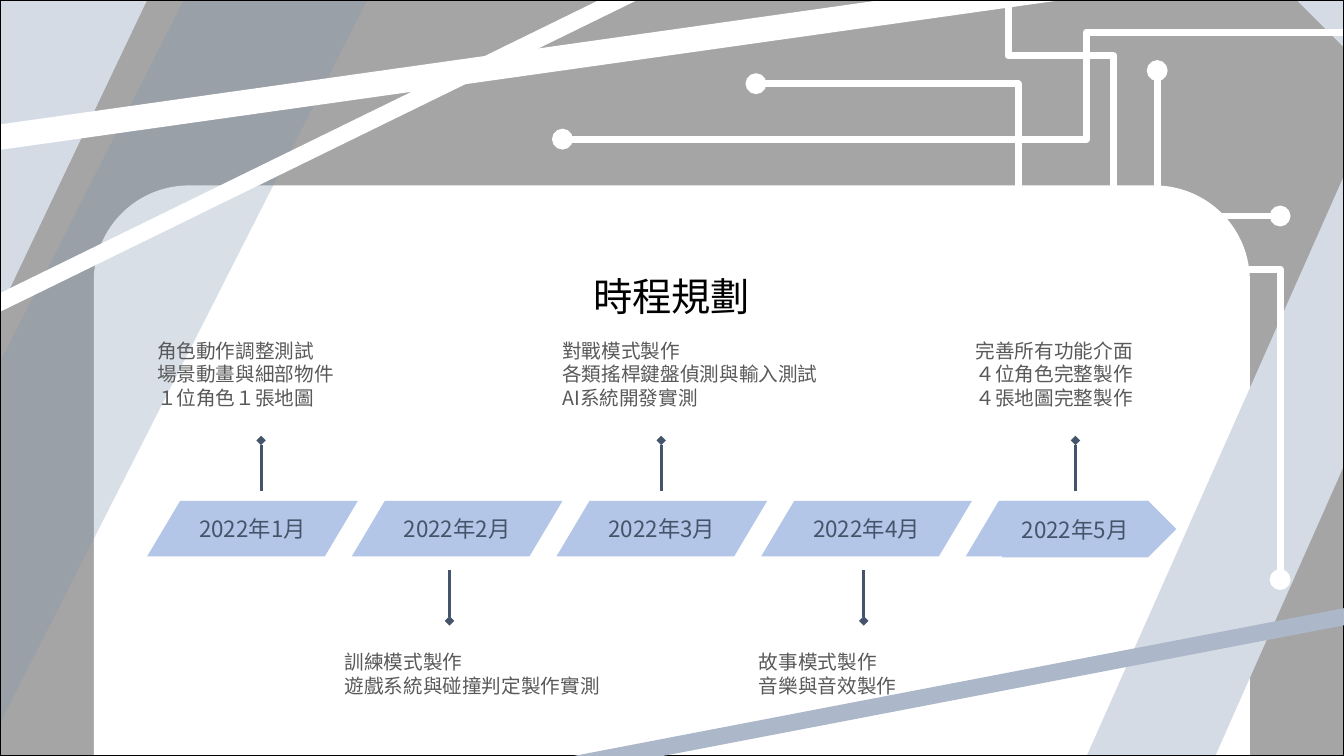
"""Build the project schedule slide: a five-month timeline on a circuit-style backdrop."""
from dataclasses import dataclass

from lxml.etree import SubElement
from pptx import Presentation
from pptx.dml.color import RGBColor
from pptx.enum.shapes import MSO_CONNECTOR as Link, MSO_SHAPE as Preset
from pptx.enum.text import MSO_ANCHOR as Anchor, PP_ALIGN as Align
from pptx.oxml.ns import qn
from pptx.util import Pt


@dataclass(frozen=True)
class Theme:
    white: str = "FFFFFF"
    black: str = "000000"
    pale: str = "D5DBE5"
    gray: str = "A5A5A5"
    haze: str = "8296B0"
    steel: str = "ACB8CA"
    month: str = "B3C6E7"
    navy: str = "44546A"
    note: str = "595959"
    title_font: str = "Calibri"
    body_font: str = "Noto Sans CJK TC"
    title_size: int = 28
    month_size: int = 16
    note_size: int = 14


THEME = Theme()
SLIDE_W, SLIDE_H = 960, 540

TITLE = "時程規劃"
MONTHS = ["2022年1月", "2022年2月", "2022年3月", "2022年4月", "2022年5月"]
MILESTONES = [
    (186.5, 105.1, 289.4, ["角色動作調整測試", "場景動畫與細部物件", "１位角色１張地圖"]),
    (321.1, 239, 295.9, ["訓練模式製作", "遊戲系統與碰撞判定製作實測"]),
    (472.3, 394.6, 295.9, ["對戰模式製作", "各類搖桿鍵盤偵測與輸入測試", "AI系統開發實測"]),
    (617, 535, 305.3, ["故事模式製作", "音樂與音效製作"]),
    (768.2, 689.8, 164.9, ["完善所有功能介面", "４位角色完整製作", "４張地圖完整製作"]),
]

BACKDROP = [
    (Preset.RECTANGLE, (0, 0, SLIDE_W, SLIDE_H), [], THEME.pale, 0),
    (Preset.SNIP_2_SAME_RECTANGLE, (-163.4, -117.4, 1301, 658.1), [0.5, 0], THEME.gray, 0),
    (Preset.ROUND_2_SAME_RECTANGLE, (67, 132.5, 825.8, 407.5), [0.167, 0], THEME.white, 0),
    (Preset.DIAGONAL_STRIPE, (776.2, 126, 183.6, 414), [0.5], THEME.pale, 180),
]
CIRCUITS = [
    ((720, -33.8), (795.6, 199.4), 0.316, True),
    ((540, 59.8), (914.4, 154.3), 0.5, False),
    ((970.6, 23), (401.8, 99.4), 0.342, False),
    ((914.4, 414), (826.6, 50.4), 0.61, True),
]
STRIPES = [
    ((0, 0, 105.1, 221), 0, THEME.pale, 100),
    ((0, 0.7, 262.1, 516.2), 0.5, THEME.haze, 30),
]
WHITE_BANDS = [
    ((466.6, -12.2), (-10.1, 221), 12),
    ((780.5, -12.2), (-10.1, 99.4), 18),
]
STEEL_BAND = ((970.6, 438.5), (378, 552.2), 12)

MONTH_LEFT, MONTH_TOP, MONTH_STEP = 105.1, 357.8, 146.2
MONTH_W, MONTH_H, LAST_W = 150.5, 39.6, 129.6
ARROW = (715.7, MONTH_TOP, 124.6, 40.3)
MARKER_LENGTH = 36
MARKER_ABOVE, MARKER_BELOW = 350.6, 407.5
NOTE_ABOVE, NOTE_BELOW, NOTE_H = 234.9, 460.8, 61

deck = Presentation()
deck.slide_width, deck.slide_height = Pt(SLIDE_W), Pt(SLIDE_H)
slide = deck.slides.add_slide(deck.slide_layouts[6])
shapes = slide.shapes


def add_preset(preset, box, adjustments, color, rotation=0, opacity=100):
    shape = shapes.add_shape(preset, *map(Pt, box))
    shape.shadow.inherit = False
    for index, value in enumerate(adjustments):
        shape.adjustments[index] = value
    shape.fill.solid()
    shape.fill.fore_color.rgb = RGBColor.from_string(color)
    if opacity < 100:
        tint = shape.element.spPr.find(qn("a:solidFill"))[0]
        SubElement(tint, qn("a:alpha"), val=str(opacity * 1000))
    shape.line.fill.background()
    shape.rotation = rotation
    return shape


def add_line(start, end, color, width, kind=Link.STRAIGHT, head=None, tail=None):
    line = shapes.add_connector(kind, *map(Pt, (*start, *end)))
    line.line.color.rgb = RGBColor.from_string(color)
    line.line.width = Pt(width)
    properties = line.element.spPr
    for tag, ending in (("a:headEnd", head), ("a:tailEnd", tail)):
        if ending:
            SubElement(properties.find(qn("a:ln")), qn(tag), type=ending)
    SubElement(properties, qn("a:effectLst"))
    return line


def add_circuit(start, end, bend, vertical):
    (x1, y1), (x2, y2) = start, end
    if vertical:
        middle_x, middle_y = (x1 + x2) / 2, (y1 + y2) / 2
        half_w, half_h = abs(y2 - y1) / 2, abs(x2 - x1) / 2
        start = (middle_x + half_w, middle_y - half_h)
        end = (middle_x - half_w, middle_y + half_h)
    circuit = add_line(start, end, THEME.white, 5, Link.ELBOW, "oval", "oval")
    properties = circuit.element.spPr
    if vertical:
        turn = 270 if y2 > y1 else 90
        properties.find(qn("a:xfrm")).set("rot", str(turn * 60000))
    guides = properties.find(qn("a:prstGeom")).find(qn("a:avLst"))
    SubElement(guides, qn("a:gd"), name="adj1", fmla=f"val {round(bend * 100000)}")


def write(shape, lines, size, color, font, align, anchor):
    frame = shape.text_frame
    frame.word_wrap = True
    frame.vertical_anchor = anchor
    for index, line in enumerate(lines):
        paragraph = frame.add_paragraph() if index else frame.paragraphs[0]
        paragraph.text = line
        paragraph.alignment = align
        paragraph.font.size = Pt(size)
        paragraph.font.color.rgb = RGBColor.from_string(color)
        paragraph.font.name = font
        defaults = paragraph._p.pPr.find(qn("a:defRPr"))
        SubElement(defaults, qn("a:ea"), typeface=THEME.body_font)


def add_note(box, lines, size, color, font, align, anchor):
    write(shapes.add_textbox(*map(Pt, box)), lines, size, color, font, align, anchor)


def draw_backdrop():
    for piece in BACKDROP:
        add_preset(*piece)
    for circuit in CIRCUITS:
        add_circuit(*circuit)
    for box, cut, color, opacity in STRIPES:
        add_preset(Preset.DIAGONAL_STRIPE, box, [cut], color, opacity=opacity)
    for start, end, width in WHITE_BANDS:
        add_line(start, end, THEME.white, width)
    border = add_preset(Preset.RECTANGLE, (0, 0, SLIDE_W, SLIDE_H), [], THEME.white)
    border.fill.background()
    border.line.color.rgb = RGBColor.from_string(THEME.black)
    border.line.width = Pt(1)
    start, end, width = STEEL_BAND
    add_line(start, end, THEME.steel, width)


def draw_timeline():
    last = len(MONTHS) - 1
    for index, month in enumerate(MONTHS):
        width = LAST_W if index == last else MONTH_W
        box = (MONTH_LEFT + index * MONTH_STEP, MONTH_TOP, width, MONTH_H)
        label = add_preset(Preset.PARALLELOGRAM, box, [0.595], THEME.month)
        if index == last:
            label = add_preset(Preset.RIGHT_ARROW, ARROW, [1, 0.5], THEME.month)
        write(label, [month], THEME.month_size, THEME.navy, THEME.body_font,
              Align.CENTER, Anchor.MIDDLE)
    for index, (marker_x, left, width, tasks) in enumerate(MILESTONES):
        above = index % 2 == 0
        base = MARKER_ABOVE if above else MARKER_BELOW
        tip = base - MARKER_LENGTH if above else base + MARKER_LENGTH
        add_line((marker_x, base), (marker_x, tip), THEME.navy, 2.25, tail="diamond")
        box = (left, NOTE_ABOVE if above else NOTE_BELOW, width, NOTE_H)
        add_note(box, tasks, THEME.note_size, THEME.note, THEME.body_font,
                 Align.LEFT, Anchor.BOTTOM if above else Anchor.TOP)


draw_backdrop()
add_note((281.5, 190.8, 396.7, 41), [TITLE], THEME.title_size, THEME.black,
         THEME.title_font, Align.CENTER, Anchor.TOP)
draw_timeline()
deck.save("out.pptx")
